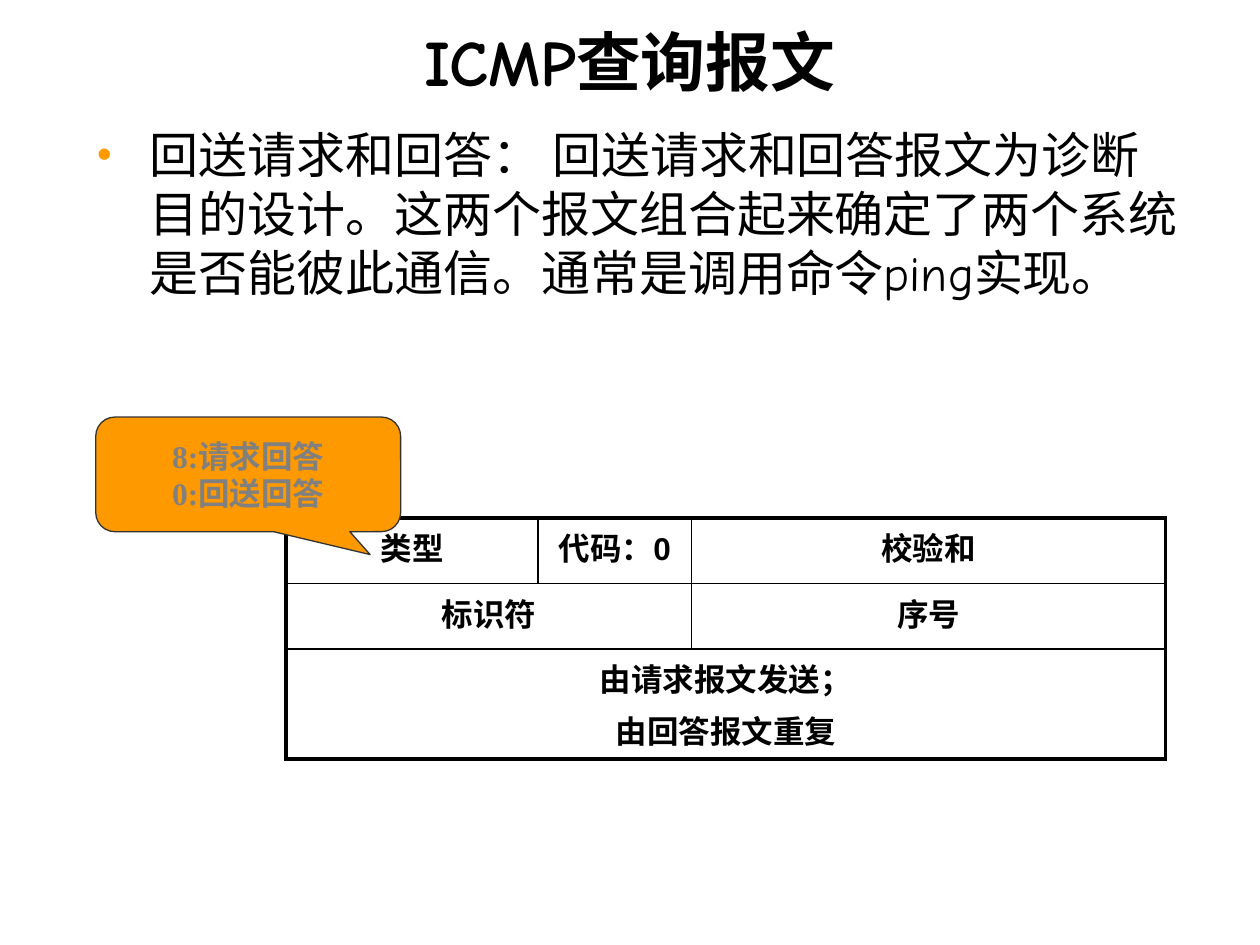
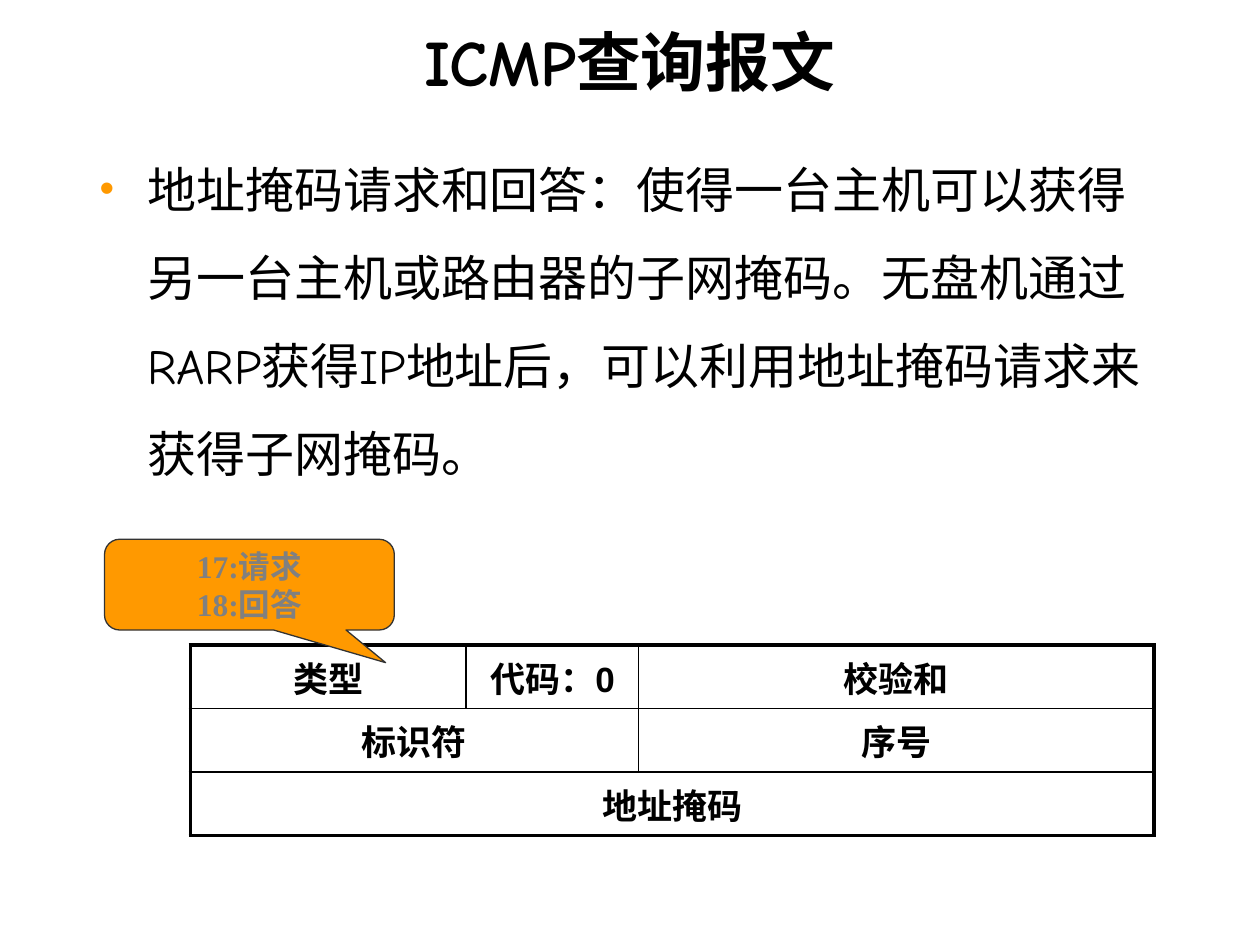
from lxml.etree import SubElement
from pptx import Presentation
from pptx.dml.color import RGBColor
from pptx.enum.shapes import MSO_SHAPE
from pptx.enum.text import MSO_ANCHOR, MSO_AUTO_SIZE, PP_ALIGN
from pptx.oxml.ns import qn
from pptx.util import Inches, Pt

# The slide is a grid of 100 columns by 75 rows.
COLS, ROWS = 100, 75
UNIT = Inches(0.1)

BLACK = RGBColor(0x00, 0x00, 0x00)
ORANGE = RGBColor(0xFF, 0x99, 0x00)
GRAY = RGBColor(0x80, 0x80, 0x80)
DARK = RGBColor(0x33, 0x33, 0x33)

HEAD = "Comic Neue"
CELL = "Arial"
NOTE = "Times New Roman"
THICK, THIN = Pt(2.25), Pt(1)


def grid(*nums):
    return [round(num * UNIT) for num in nums]


def place(shape, box):
    shape.left, shape.top, shape.width, shape.height = grid(*box)


def style(par, name, size, color=BLACK, bold=False):
    font = par.font
    font.name, font.size, font.bold = name, Pt(size), bold
    font.color.rgb = color


def add_title(slide, text):
    title = slide.shapes.title
    place(title, (5, 1.3, 90, 7))
    frame = title.text_frame
    frame.text = text
    frame.auto_size = MSO_AUTO_SIZE.NONE
    frame.vertical_anchor = MSO_ANCHOR.MIDDLE
    par = frame.paragraphs[0]
    par.alignment = PP_ALIGN.CENTER
    style(par, HEAD, 37, bold=True)


def add_bullet(par, indent):
    props = par._p.get_or_add_pPr()
    props.set("marL", str(indent))
    props.set("indent", str(-indent))
    color = SubElement(props, qn("a:buClr"))
    SubElement(color, qn("a:srgbClr"), val=str(ORANGE))
    SubElement(props, qn("a:buSzPct"), val="85000")
    SubElement(props, qn("a:buChar"), char="•")


def add_body(slide, box, text, indent, spacing):
    body = slide.placeholders[1]
    place(body, box)
    frame = body.text_frame
    frame.text = text
    frame.auto_size = MSO_AUTO_SIZE.NONE
    par = frame.paragraphs[0]
    add_bullet(par, grid(indent)[0])
    par.space_before = Pt(0)
    par.line_spacing = spacing
    style(par, HEAD, 28)


def add_edge(cell, side, width):
    line = SubElement(cell._tc.get_or_add_tcPr(), qn("a:ln" + side), w=str(width))
    fill = SubElement(line, qn("a:solidFill"))
    SubElement(fill, qn("a:srgbClr"), val=str(BLACK))


def frame_cell(table, row, col):
    """Thick edges round the table, thin ones between its fields."""
    cell = table.cell(row, col)
    last_row, last_col = len(table.rows) - 1, len(table.columns) - 1
    end = col + cell.span_width - 1
    if not cell.is_spanned:
        add_edge(cell, "L", THIN if col else THICK)
        add_edge(cell, "R", THICK if end == last_col else THIN)
    add_edge(cell, "T", THIN if row else THICK)
    add_edge(cell, "B", THICK if row == last_row else THIN)
    cell.fill.background()


def fill_cell(cell, text, size):
    cell.text = text
    for num, par in enumerate(cell.text_frame.paragraphs):
        par.alignment = PP_ALIGN.CENTER
        par.space_before = Pt(0.2 * size if num else 0)
        style(par, CELL, size, bold=True)


def add_packet(slide, left, top, widths, heights, last, size):
    """Draw the message layout; each field names the columns it spans."""
    fields = [
        [("类型", 1), ("代码：0", 1), ("校验和", 1)],
        [("标识符", 2), ("序号", 1)],
        [(last, 3)],
    ]
    box = grid(left, top, sum(widths), sum(heights))
    table = slide.shapes.add_table(len(heights), len(widths), *box).table
    table.first_row = table.horz_banding = False
    for col, width in zip(table.columns, grid(*widths)):
        col.width = width
    for row, height in zip(table.rows, grid(*heights)):
        row.height = height
    for row, items in enumerate(fields):
        col = 0
        for text, span in items:
            cell = table.cell(row, col)
            if span > 1:
                cell.merge(table.cell(row, col + span - 1))
            fill_cell(cell, text, size)
            col += span
        for col in range(len(widths)):
            frame_cell(table, row, col)


def add_callout(slide, box, tip, text):
    shape = slide.shapes.add_shape(
        MSO_SHAPE.ROUNDED_RECTANGULAR_CALLOUT, *grid(*box))
    shape.adjustments[0], shape.adjustments[1] = tip
    shape.shadow.inherit = False
    shape.fill.solid()
    shape.fill.fore_color.rgb = ORANGE
    shape.line.color.rgb = DARK
    shape.line.width = Pt(0.75)
    frame = shape.text_frame
    frame.text = text
    frame.vertical_anchor = MSO_ANCHOR.MIDDLE
    for par in frame.paragraphs:
        par.alignment = PP_ALIGN.CENTER
        style(par, NOTE, 18, GRAY, True)


def add_page(deck, body, packet, callout):
    slide = deck.slides.add_slide(deck.slide_layouts[1])
    add_title(slide, "ICMP查询报文")
    add_body(slide, *body)
    add_packet(slide, *packet)
    add_callout(slide, *callout)


def main():
    deck = Presentation()
    deck.slide_width, deck.slide_height = grid(COLS, ROWS)
    add_page(
        deck,
        ((6.7, 9.4, 88.3, 27.5),
         "回送请求和回答： 回送请求和回答报文为诊断目的设计。"
         "这两个报文组合起来确定了两个系统是否能彼此通信。"
         "通常是调用命令ping实现。", 4.2, 1.0),
        (22.7, 41.1, (20, 12.2, 37.6), (5.2, 5.2, 7.6),
         "由请求报文发送；\n由回答报文重复", 18),
        ((7.6, 33.1, 24.2, 9.1), (0.4, 0.7), "8:请求回答\n0:回送回答"),
    )
    add_page(
        deck,
        ((6.9, 9.8, 86.2, 38.9),
         "地址掩码请求和回答：使得一台主机可以获得另一台主机或路由器的子网掩码。"
         "无盘机通过RARP获得IP地址后，可以利用地址掩码请求来获得子网掩码。",
         3.8, 1.5),
        (15.1, 51.2, (21.9, 13.7, 40.9), (4.3, 4.3, 4.3), "地址掩码", 20),
        ((8.3, 42.8, 23, 7.2), (0.47, 0.86), "17:请求\n18:回答"),
    )
    deck.save("out.pptx")


if __name__ == "__main__":
    main()
